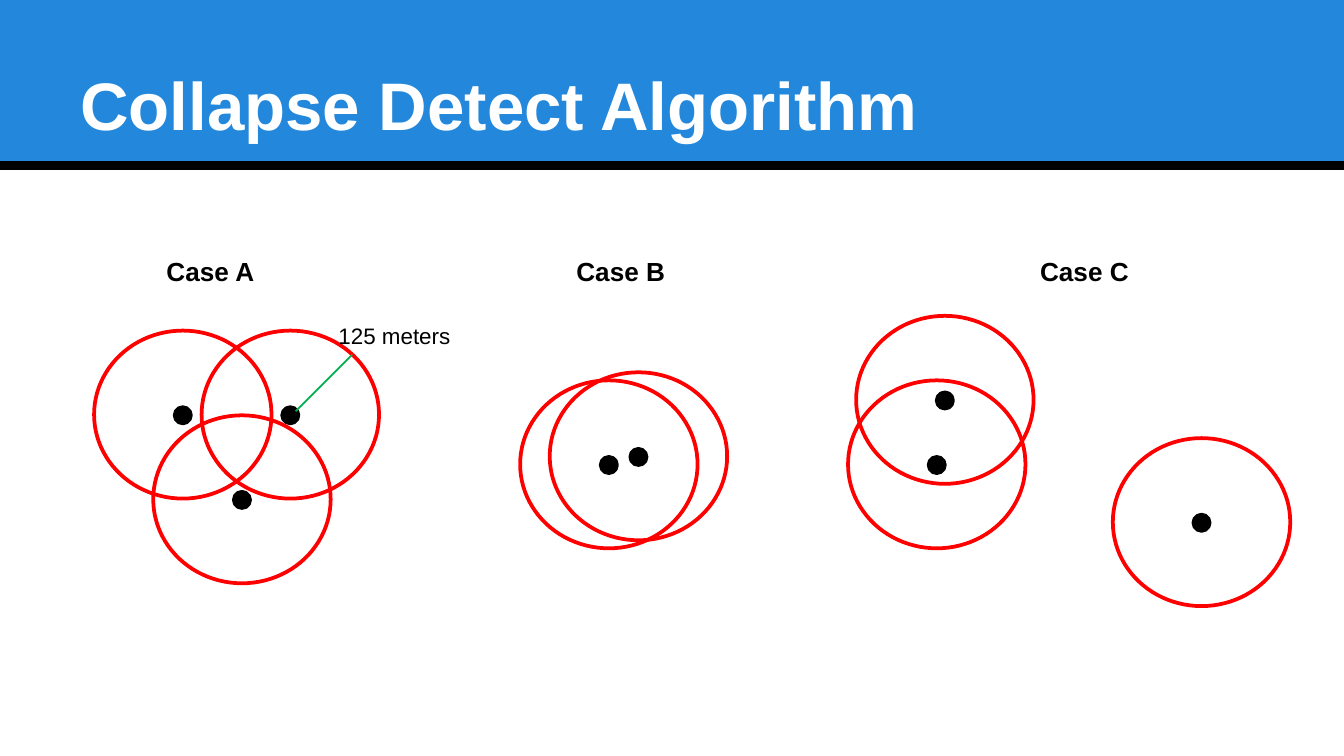
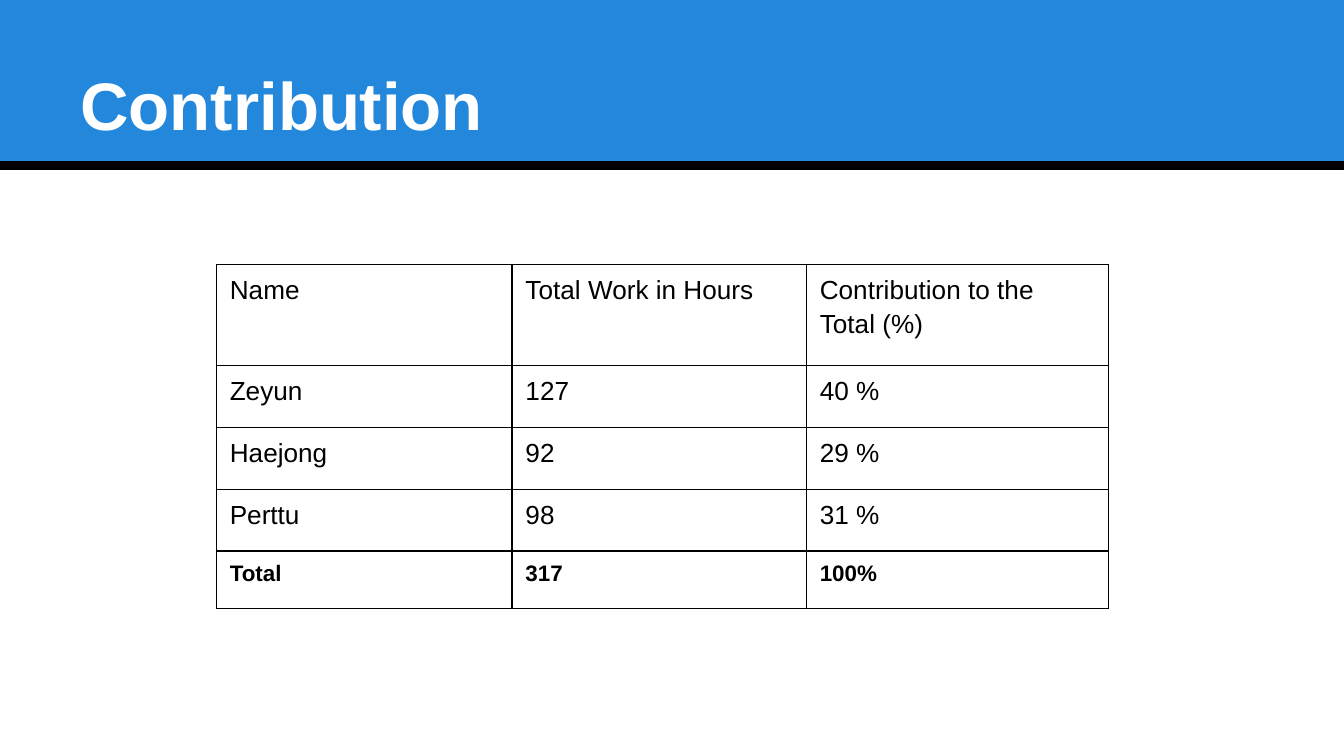
from pptx import Presentation
from pptx.dml.color import RGBColor
from pptx.enum.shapes import MSO_CONNECTOR, MSO_SHAPE
from pptx.enum.text import MSO_ANCHOR, MSO_AUTO_SIZE, PP_ALIGN
from pptx.oxml.ns import qn
from pptx.util import Inches, Pt
from lxml.etree import SubElement

BLUE = RGBColor(0x23, 0x88, 0xDB)
BLACK = RGBColor(0x00, 0x00, 0x00)
WHITE = RGBColor(0xFF, 0xFF, 0xFF)
RED = RGBColor(0xFF, 0x00, 0x00)
GREEN = RGBColor(0x00, 0xB0, 0x50)
FONT = "Arial"

# One px is a hundredth of an inch
SCALE = 9144
RANGE_W, RANGE_H = 132, 125
DOT = 12


def px(*lengths):
    return [n * SCALE for n in lengths]


def write(tf, text, size=14, color=BLACK, bold=False, spacing=None):
    p = tf.paragraphs[0]
    p.alignment = PP_ALIGN.LEFT
    if spacing:
        p.line_spacing = spacing
    r = p.add_run()
    r.text = text
    r.font.name = FONT
    r.font.size = Pt(size)
    r.font.bold = bold
    r.font.color.rgb = color


def set_borders(cell, color=BLACK, width=0.75):
    tc_pr = cell._tc.get_or_add_tcPr()
    for side in ("lnL", "lnR", "lnT", "lnB"):
        ln = SubElement(tc_pr, qn(f"a:{side}"), w=str(Pt(width)))
        fill = SubElement(ln, qn("a:solidFill"))
        SubElement(fill, qn("a:srgbClr"), val=str(color))


class Deck:
    def __init__(self):
        self.prs = Presentation()
        self.prs.slide_width = Inches(10)
        self.prs.slide_height = Inches(5.625)
        self.s = None

    def slide(self, title):
        self.s = self.prs.slides.add_slide(self.prs.slide_layouts[6])
        self.shape(MSO_SHAPE.RECTANGLE, 0, 0, 1000, 126, fill=BLUE)
        self.line(0, 123, 1000, 123, BLACK, 4.5)
        self.text(title, 50, 23, 900, 94, wrap=True, anchor=MSO_ANCHOR.BOTTOM,
                  pad=10, size=36, color=WHITE, bold=True)

    def shape(self, kind, x, y, w, h, fill=None, line=None, width=2):
        sp = self.s.shapes.add_shape(kind, *px(x, y, w, h))
        sp.shadow.inherit = False
        if fill is None:
            sp.fill.background()
        else:
            sp.fill.solid()
            sp.fill.fore_color.rgb = fill
        if line is None:
            sp.line.fill.background()
        else:
            sp.line.color.rgb = line
            sp.line.width = Pt(width)

    def line(self, x1, y1, x2, y2, color, width):
        cn = self.s.shapes.add_connector(MSO_CONNECTOR.STRAIGHT, *px(x1, y1, x2, y2))
        cn.line.color.rgb = color
        cn.line.width = Pt(width)
        SubElement(cn._element.spPr, qn("a:effectLst"))

    def text(self, text, x, y, w, h, wrap=False, anchor=MSO_ANCHOR.TOP, pad=5, **fmt):
        tf = self.s.shapes.add_textbox(*px(x, y, w, h)).text_frame
        tf.word_wrap = wrap
        # A label on one line grows with its text
        tf.auto_size = MSO_AUTO_SIZE.NONE if wrap else MSO_AUTO_SIZE.SHAPE_TO_FIT_TEXT
        tf.vertical_anchor = anchor
        tf.margin_left, tf.margin_right = px(10, 10)
        tf.margin_top, tf.margin_bottom = px(pad, pad)
        write(tf, text, **fmt)

    def sensor(self, x, y):
        """Range circle with a dot at its centre."""
        self.shape(MSO_SHAPE.OVAL, x, y, RANGE_W, RANGE_H, line=RED)
        self.shape(MSO_SHAPE.OVAL, x + (RANGE_W - DOT) // 2,
                   y + (RANGE_H - DOT + 1) // 2, DOT, DOT, fill=BLACK, line=BLACK)

    def table(self, x, y, widths, heights, rows):
        frame = self.s.shapes.add_table(
            len(heights), len(widths), *px(x, y, sum(widths), sum(heights)))
        tbl = frame.table
        tbl.first_row = tbl.horz_banding = False
        for col, w in zip(tbl.columns, px(*widths)):
            col.width = w
        for row, h in zip(tbl.rows, px(*heights)):
            row.height = h
        for i, values in enumerate(rows):
            total = i == len(rows) - 1
            for j, value in enumerate(values):
                cell = tbl.cell(i, j)
                set_borders(cell)
                cell.fill.background()
                write(cell.text_frame, value, size=12 if total else 14,
                      bold=total, spacing=1.15)


def main():
    deck = Deck()

    # Slide 1: sensor ranges in three cases
    deck.slide("Collapse Detect Algorithm")
    cases = [
        ("Case A", 114, [(70, 246), (150, 246), (114, 309)]),
        ("Case B", 419, [(387, 283), (409, 277)]),
        ("Case C", 764, [(637, 235), (631, 283), (828, 326)]),
    ]
    for label, x, sensors in cases:
        for spot in sensors:
            deck.sensor(*spot)
        deck.text(label, x, 185, 86, 33, bold=True)

    # Radius of one range
    deck.line(220, 306, 262, 264, GREEN, 1)
    deck.text("125 meters", 242, 235, 105, 30, size=12)

    # Slide 2: hours per person
    deck.slide("Contribution")
    deck.table(161, 197, [220, 219, 225], [75, 46, 46, 46, 43], [
        ("Name", "Total Work in Hours", "Contribution to the Total (%)"),
        ("Zeyun", "127", "40 %"),
        ("Haejong", "92", "29 %"),
        ("Perttu", "98", "31 %"),
        ("Total", "317", "100%"),
    ])

    deck.prs.save("out.pptx")


if __name__ == "__main__":
    main()
